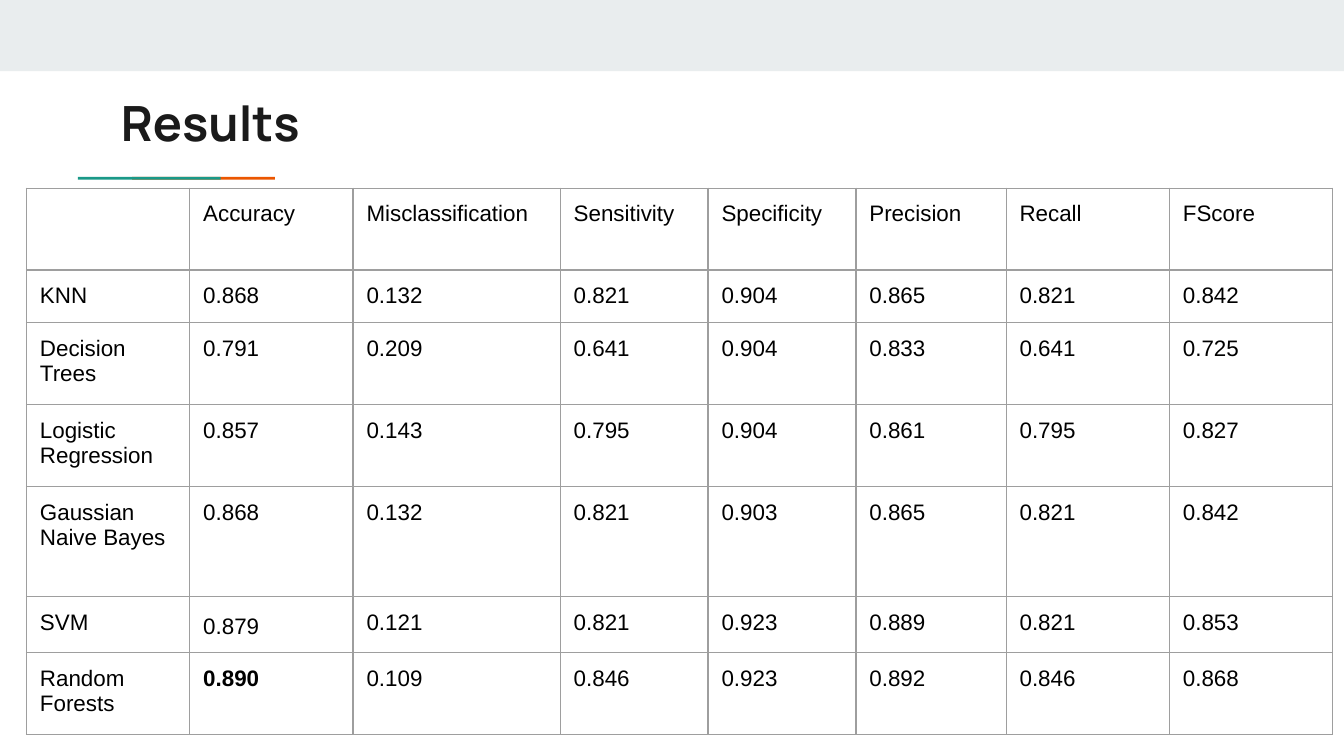
import pptx
import pptx.dml.color
import pptx.enum.shapes
import pptx.enum.text
import pptx.oxml
import pptx.oxml.ns
import pptx.util

Pt = pptx.util.Pt
COLORS = {
    "band": "E9EDEE",
    "teal": "1A9988",
    "orange": "EB5600",
    "title": "1A1A1A",
    "text": "000000",
    "border": "9E9E9E",
}
INSET = 7.2
COLUMN_WIDTHS = [87.5, 87.5, 111, 79.2, 79.2, 80.5, 87.5, 87.5]
ROW_HEIGHTS = [43.8, 28.4, 43.8, 43.8, 59, 30, 43.8]
RESULTS = [
    ["", "Accuracy", "Misclassification", "Sensitivity", "Specificity",
     "Precision", "Recall", "FScore"],
    ["KNN", "0.868", "0.132", "0.821", "0.904", "0.865", "0.821", "0.842"],
    ["Decision Trees", "0.791", "0.209", "0.641", "0.904", "0.833", "0.641", "0.725"],
    ["Logistic Regression", "0.857", "0.143", "0.795", "0.904", "0.861", "0.795", "0.827"],
    ["Gaussian Naive Bayes", "0.868", "0.132", "0.821", "0.903", "0.865", "0.821", "0.842"],
    ["SVM", "0.879", "0.121", "0.821", "0.923", "0.889", "0.821", "0.853"],
    ["Random Forests", "0.890", "0.109", "0.846", "0.923", "0.892", "0.846", "0.868"],
]


def rgb(name):
    return pptx.dml.color.RGBColor.from_string(COLORS[name])


def set_font(paragraph, family, size, color, bold=False):
    paragraph.font.name = family
    paragraph.font.size = Pt(size)
    paragraph.font.color.rgb = rgb(color)
    paragraph.font.bold = bold


def set_margins(target):
    """Give a text frame or a table cell the same inset on every side."""
    target.margin_left = target.margin_right = Pt(INSET)
    target.margin_top = target.margin_bottom = Pt(INSET)


def add_bar(slide, left, top, width, height, color):
    shape = slide.shapes.add_shape(
        pptx.enum.shapes.MSO_SHAPE.RECTANGLE, Pt(left), Pt(top), Pt(width), Pt(height))
    shape.shadow.inherit = False
    shape.fill.solid()
    shape.fill.fore_color.rgb = rgb(color)
    shape.line.fill.background()


def add_accent(slide, left, top, width, height):
    """Two overlapping bars, the teal one in front on the left."""
    bar_width = width * 0.725
    add_bar(slide, left + width - bar_width, top, bar_width, height, "orange")
    add_bar(slide, left, top, bar_width, height, "teal")


def place_title(slide, left, top, width, height):
    title = slide.shapes.title
    title.left, title.top = Pt(left), Pt(top)
    title.width, title.height = Pt(width), Pt(height)
    frame = title.text_frame
    frame.text = "Results"
    frame.word_wrap = True
    frame.auto_size = pptx.enum.text.MSO_AUTO_SIZE.NONE
    frame.vertical_anchor = pptx.enum.text.MSO_ANCHOR.TOP
    set_margins(frame)
    paragraph = frame.paragraphs[0]
    paragraph.alignment = pptx.enum.text.PP_ALIGN.LEFT
    set_font(paragraph, "Manrope", 26, "title", bold=True)


def add_borders(cell):
    properties = cell._tc.get_or_add_tcPr()
    for position, side in enumerate(("lnL", "lnR", "lnT", "lnB")):
        line = pptx.oxml.parse_xml(
            f'<a:{side} {pptx.oxml.ns.nsdecls("a")} w="{Pt(0.75)}"><a:solidFill>'
            f'<a:srgbClr val="{COLORS["border"]}"/></a:solidFill></a:{side}>')
        properties.insert(position, line)


def add_results_table(slide, left, top):
    table = slide.shapes.add_table(
        len(RESULTS), len(COLUMN_WIDTHS), Pt(left), Pt(top),
        Pt(sum(COLUMN_WIDTHS)), Pt(sum(ROW_HEIGHTS))).table
    table.first_row = table.horz_banding = False
    for column, width in zip(table.columns, COLUMN_WIDTHS):
        column.width = Pt(width)
    for row, height, values in zip(table.rows, ROW_HEIGHTS, RESULTS):
        row.height = Pt(height)
        for cell, value in zip(row.cells, values):
            cell.text = value
            cell.fill.background()
            set_margins(cell)
            add_borders(cell)
            set_font(cell.text_frame.paragraphs[0], "Arial", 12, "text",
                     bold=value == "0.890")
    svm_accuracy = table.cell(5, 1).text_frame.paragraphs[0]
    svm_accuracy.alignment = pptx.enum.text.PP_ALIGN.JUSTIFY
    svm_accuracy.line_spacing = 1.15


def main():
    presentation = pptx.Presentation()
    presentation.slide_width, presentation.slide_height = Pt(720), Pt(405)
    slide = presentation.slides.add_slide(presentation.slide_layouts[5])
    add_bar(slide, 0, 0, 720, 38.2, "band")
    add_accent(slide, 41.8, 94.8, 105.5, 1.5)
    place_title(slide, 57.6, 42.5, 605.5, 42.5)
    add_results_table(slide, 14.2, 100.8)
    presentation.save("out.pptx")


if __name__ == "__main__":
    main()
